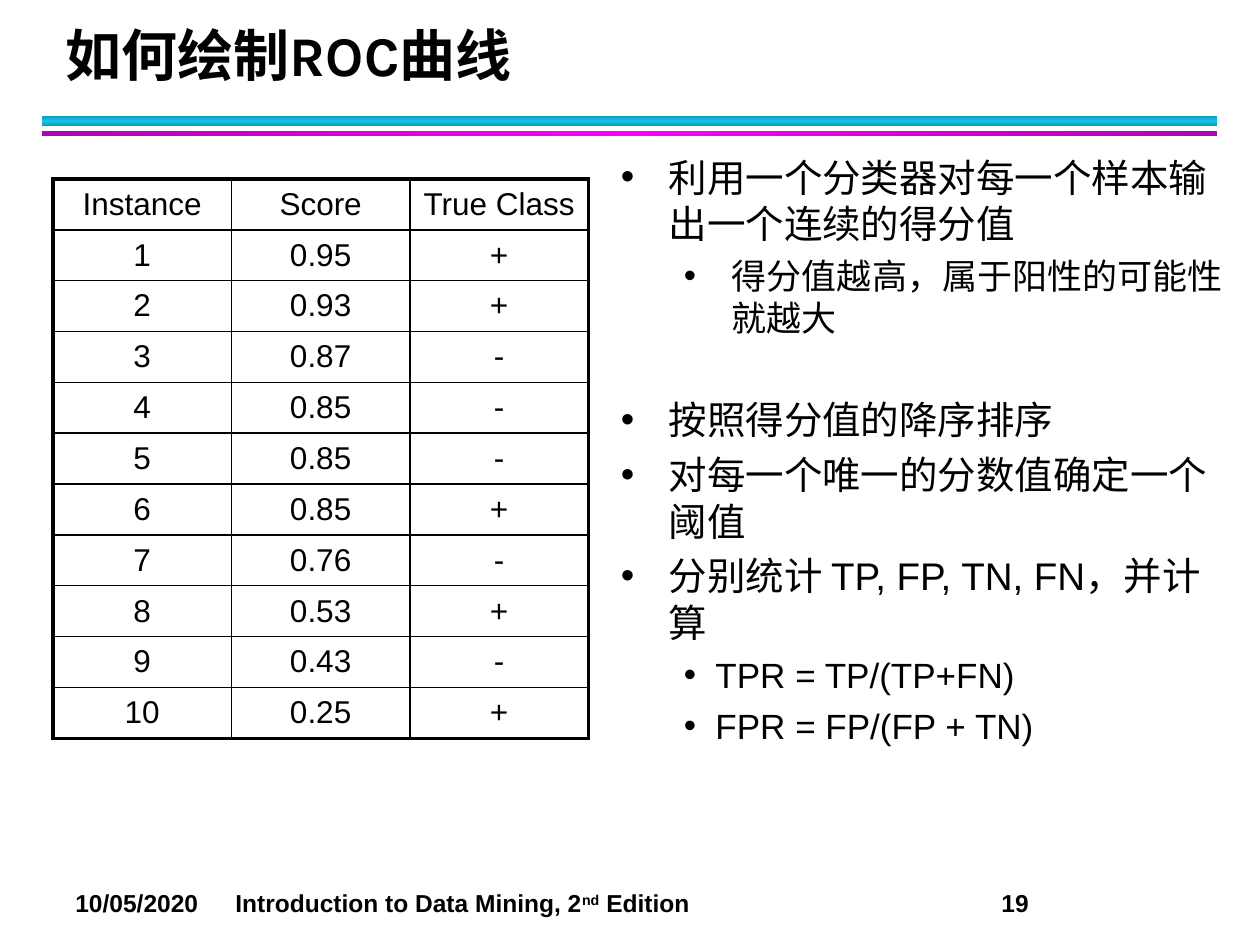
from pptx import Presentation
from pptx.dml.color import RGBColor
from pptx.enum.shapes import MSO_SHAPE
from pptx.enum.text import MSO_ANCHOR, MSO_AUTO_SIZE, PP_ALIGN
from pptx.oxml import parse_xml
from pptx.oxml.ns import nsdecls, qn
from pptx.util import Inches, Pt
from lxml.etree import SubElement

BLACK = RGBColor(0, 0, 0)
CYAN_DARK, CYAN = RGBColor(0x0E, 0x9B, 0xBA), RGBColor(0x12, 0xC2, 0xE9)
MAGENTA_DARK, MAGENTA = RGBColor(0xB2, 0, 0xB2), RGBColor(0xFF, 0, 0xFF)

TITLE = "如何绘制ROC曲线"
RULES = [
    (0.92, 0.08, CYAN_DARK, CYAN, 90),
    (1.04, 0.04, MAGENTA_DARK, MAGENTA, 0),
]
HEADERS = ["Instance", "Score", "True Class"]
SCORES = ["0.95", "0.93", "0.87", "0.85", "0.85", "0.85", "0.76", "0.53", "0.43", "0.25"]
CLASSES = ["+", "+", "-", "-", "-", "+", "-", "+", "-", "+"]
BULLETS = [
    (0, 0.38, 0.38, 0, "利用一个分类器对每一个样本输出一个连续的得分值"),
    (1, 0.88, 0.38, 5, "得分值越高，属于阳性的可能性就越大"),
    (0, 0.38, 0.38, 33, "按照得分值的降序排序"),
    (0, 0.38, 0.38, 5, "对每一个唯一的分数值确定一个阈值"),
    (0, 0.38, 0.38, 5, "分别统计 TP, FP, TN, FN，并计算"),
    (1, 0.75, 0.25, 5, "TPR = TP/(TP+FN)"),
    (1, 0.75, 0.25, 5, "FPR = FP/(FP + TN)"),
]
LEVEL_SIZES = [22, 20]
FOOTER = ["10/05/2020\tIntroduction to Data Mining, 2", "nd", " Edition\t19"]
FOOTER_TABS = [1.27, 7.35]


def style_font(font, size, name="Arial", bold=False):
    font.size, font.name, font.bold = Pt(size), name, bold
    font.color.rgb = BLACK


def add_rule(slide, top, height, edge, middle, angle):
    rule = slide.shapes.add_shape(
        MSO_SHAPE.RECTANGLE, Inches(0.33), Inches(top), Inches(9.33), Inches(height))
    rule.shadow.inherit = False
    rule.line.fill.background()
    rule.fill.gradient()
    rule.fill.gradient_angle = angle
    stops = rule._element.spPr.find(qn("a:gradFill")).find(qn("a:gsLst"))
    for stop in list(stops):
        stops.remove(stop)
    for position, color in ((0, edge), (50, middle), (100, edge)):
        stops.append(parse_xml(
            f'<a:gs {nsdecls("a")} pos="{position * 1000}"><a:srgbClr val="{color}"/></a:gs>'))


def set_borders(cell, widths):
    properties = cell._tc.get_or_add_tcPr()
    for index, (side, width) in enumerate(widths.items()):
        properties.insert(index, parse_xml(
            f'<a:{side} {nsdecls("a")} w="{Pt(width)}"><a:solidFill>'
            f'<a:srgbClr val="{BLACK}"/></a:solidFill></a:{side}>'))


def add_score_table(slide):
    instances = [str(number) for number in range(1, len(SCORES) + 1)]
    rows = [HEADERS, *zip(instances, SCORES, CLASSES)]
    last_row, last_column = len(rows) - 1, len(HEADERS) - 1
    table = slide.shapes.add_table(
        len(rows), len(HEADERS), Inches(0.42), Inches(1.42), Inches(4.25), Inches(4.44)).table
    table.first_row = table.horz_banding = False
    for row, values in enumerate(rows):
        for column, value in enumerate(values):
            cell = table.cell(row, column)
            cell.text = value
            cell.vertical_anchor = MSO_ANCHOR.MIDDLE
            cell.fill.background()
            paragraph = cell.text_frame.paragraphs[0]
            paragraph.alignment = PP_ALIGN.CENTER
            style_font(paragraph.runs[0].font, 18)
            outer = {"lnL": column == 0, "lnR": column == last_column,
                     "lnT": row == 0, "lnB": row == last_row}
            set_borders(cell, {side: 2.25 if edge else 1 for side, edge in outer.items()})


def add_bullets(slide):
    box = slide.shapes.add_textbox(Inches(4.83), Inches(1.17), Inches(5.08), Inches(4.87))
    frame = box.text_frame
    frame.word_wrap = True
    frame.auto_size = MSO_AUTO_SIZE.SHAPE_TO_FIT_TEXT
    for index, (level, margin, hanging, before, text) in enumerate(BULLETS):
        paragraph = frame.add_paragraph() if index else frame.paragraphs[0]
        paragraph.text = text
        paragraph.level = level
        paragraph.space_before = Pt(before)
        properties = paragraph._p.get_or_add_pPr()
        properties.set("marL", str(Inches(margin)))
        properties.set("indent", str(-Inches(hanging)))
        SubElement(properties, qn("a:buFont"), typeface="Arial")
        SubElement(properties, qn("a:buChar"), char="•")
        style_font(paragraph.runs[0].font, LEVEL_SIZES[level])


def add_footer(slide):
    box = slide.shapes.add_textbox(Inches(0.5), Inches(7), Inches(9.33), Inches(0.34))
    box.text_frame.word_wrap = True
    box.text_frame.auto_size = MSO_AUTO_SIZE.SHAPE_TO_FIT_TEXT
    paragraph = box.text_frame.paragraphs[0]
    tabs = SubElement(paragraph._p.get_or_add_pPr(), qn("a:tabLst"))
    for position in FOOTER_TABS:
        SubElement(tabs, qn("a:tab"), pos=str(Inches(position)), algn="l")
    for text in FOOTER:
        run = paragraph.add_run()
        run.text = text
        style_font(run.font, 14, bold=True)
    paragraph.runs[1].font._element.set("baseline", "30000")


def format_title(slide):
    title = slide.shapes.title
    title.left, title.top = Inches(0.42), Inches(0.17)
    title.width, title.height = Inches(9.06), Inches(0.58)
    frame = title.text_frame
    frame.text = TITLE
    frame.auto_size = MSO_AUTO_SIZE.NONE
    frame.vertical_anchor = MSO_ANCHOR.BOTTOM
    paragraph = frame.paragraphs[0]
    paragraph.alignment = PP_ALIGN.LEFT
    paragraph.line_spacing = Pt(36)
    style_font(paragraph.runs[0].font, 32, "Karla", True)


def main():
    presentation = Presentation()
    presentation.slide_width, presentation.slide_height = Inches(10), Inches(7.5)
    slide = presentation.slides.add_slide(presentation.slide_layouts.get_by_name("Title Only"))
    for rule in RULES:
        add_rule(slide, *rule)
    add_footer(slide)
    format_title(slide)
    add_score_table(slide)
    add_bullets(slide)
    presentation.save("out.pptx")


if __name__ == "__main__":
    main()
